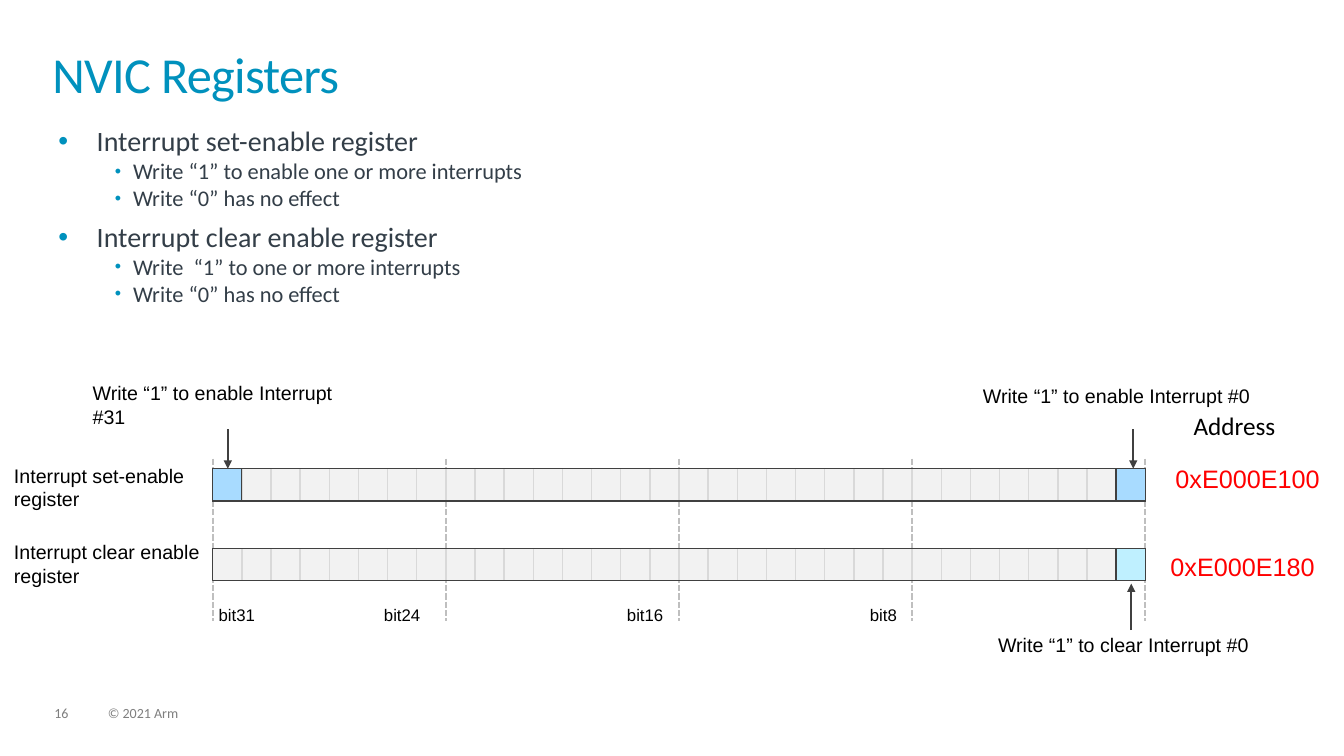
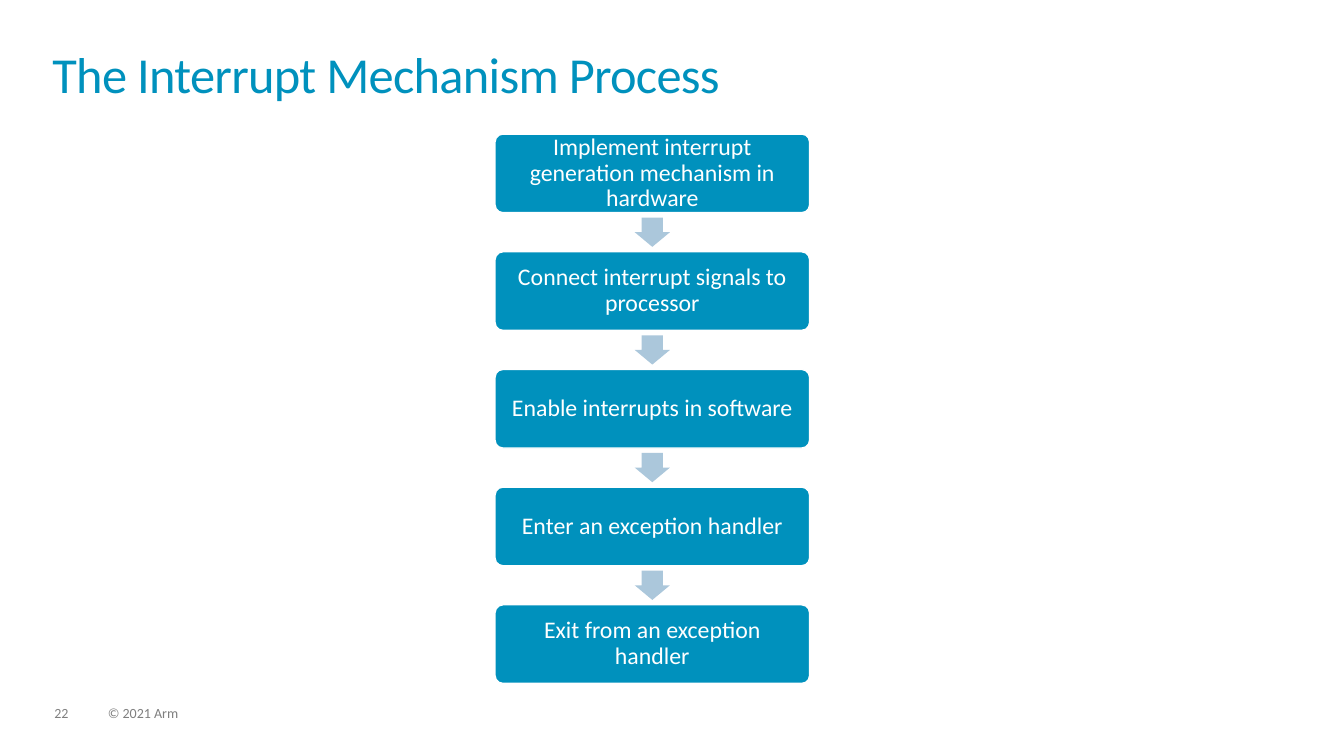
import pptx
import pptx.dml.color
import pptx.enum.dml
import pptx.enum.shapes
import pptx.enum.text
import pptx.oxml.ns
import pptx.util
from lxml import etree

Inches, Pt = pptx.util.Inches, pptx.util.Pt
RGBColor = pptx.dml.color.RGBColor
SHAPE = pptx.enum.shapes.MSO_SHAPE
ANCHOR = pptx.enum.text.MSO_ANCHOR
qn = pptx.oxml.ns.qn

TEAL = RGBColor(0x00, 0x91, 0xBD)
SLATE = RGBColor(0x33, 0x3E, 0x48)
GRAY = RGBColor(0x7F, 0x7F, 0x7F)
DARK = RGBColor(0x40, 0x40, 0x40)
GUIDE = RGBColor(0xBF, 0xBF, 0xBF)
CELL_LINE = RGBColor(0xD9, 0xD9, 0xD9)
CELL = RGBColor(0xF2, 0xF2, 0xF2)
SET_BLUE = RGBColor(0xA8, 0xDB, 0xFF)
CLEAR_BLUE = RGBColor(0xBF, 0xF0, 0xFF)
ARROW_BLUE = RGBColor(0xAB, 0xC7, 0xDB)
RED = RGBColor(0xFF, 0x00, 0x00)
BLACK = RGBColor(0x00, 0x00, 0x00)
WHITE = RGBColor(0xFF, 0xFF, 0xFF)

BITS = 32
CELL_H = 0.32


def style(p, size, color, font="Calibri"):
    """Format every run of a paragraph."""
    for r in p.runs:
        r.font.name = font
        r.font.size = Pt(size)
        r.font.color.rgb = color


def set_frame(tf, inset_x, inset_y, anchor=ANCHOR.TOP):
    """Set wrapping, insets and anchor of a text frame."""
    tf.word_wrap = True
    tf.auto_size = pptx.enum.text.MSO_AUTO_SIZE.NONE
    tf.margin_left = tf.margin_right = Inches(inset_x)
    tf.margin_top = tf.margin_bottom = Inches(inset_y)
    tf.vertical_anchor = anchor


def add_label(s, text, x, y, w, h, size=14, color=BLACK, font="Arial", inset=(0.1, 0.05)):
    """Add a one-paragraph text box and return its paragraph."""
    tf = s.shapes.add_textbox(Inches(x), Inches(y), Inches(w), Inches(h)).text_frame
    set_frame(tf, *inset)
    p = tf.paragraphs[0]
    p.text = text
    style(p, size, color, font)
    return p


def add_box(s, shape, x, y, w, h, fill=None, line=None):
    """Add a flat preset shape with optional fill and outline."""
    sp = s.shapes.add_shape(shape, Inches(x), Inches(y), Inches(w), Inches(h))
    sp.shadow.inherit = False
    if fill is None:
        sp.fill.background()
    else:
        sp.fill.solid()
        sp.fill.fore_color.rgb = fill
    if line is None:
        sp.line.fill.background()
    else:
        sp.line.color.rgb = line
        sp.line.width = Pt(1)
    return sp


def add_vertical(s, x, y1, y2, color, dashed=False, arrow=False):
    """Add a vertical line, dashed or with an arrowhead at its end."""
    c = s.shapes.add_connector(pptx.enum.shapes.MSO_CONNECTOR.STRAIGHT,
                               Inches(x), Inches(y1), Inches(x), Inches(y2))
    c.line.color.rgb = color
    c.line.width = Pt(1.5)
    if dashed:
        c.line.dash_style = pptx.enum.dml.MSO_LINE.SQUARE_DOT
    spPr = c._element.spPr
    if arrow:
        etree.SubElement(spPr.find(qn("a:ln")), qn("a:tailEnd"), type="triangle")
    etree.SubElement(spPr, qn("a:effectLst"))


def add_page(prs, title, number):
    """Add a slide with its title and footer."""
    s = prs.slides.add_slide(prs.slide_layouts[5])
    sp = s.shapes.title
    sp.left, sp.top, sp.width, sp.height = (Inches(v) for v in (0.52, 0.52, 12.28, 0.72))
    set_frame(sp.text_frame, 0, 0)
    p = sp.text_frame.paragraphs[0]
    p.text = title
    p.alignment = pptx.enum.text.PP_ALIGN.LEFT
    p.line_spacing = 0.85
    style(p, 36, TEAL)
    p.runs[0]._r.get_or_add_rPr().set("spc", "-50")
    for text, x, w in ((str(number), 0.54, 0.34), ("© 2021 Arm", 1.07, 5.07)):
        add_label(s, text, x, 7.01, w, 0.15, 10, GRAY, "Calibri", (0, 0)).line_spacing = 0.9
    return s


def add_bullet(p, margin, indent, percent):
    """Give a paragraph a hanging teal bullet."""
    pPr = p._p.get_or_add_pPr()
    pPr.set("marL", str(Inches(margin)))
    pPr.set("indent", str(Inches(-indent)))
    color = etree.SubElement(pPr, qn("a:buClr"))
    etree.SubElement(color, qn("a:srgbClr"), val=str(TEAL))
    etree.SubElement(pPr, qn("a:buSzPct"), val=str(percent * 1000))
    etree.SubElement(pPr, qn("a:buFont"), typeface="Arial")
    etree.SubElement(pPr, qn("a:buChar"), char="•")


def add_bullets(s, items, x, y, w, h):
    """Add a two-level bulleted list."""
    tf = s.shapes.add_textbox(Inches(x), Inches(y), Inches(w), Inches(h)).text_frame
    set_frame(tf, 0, 0)
    for i, (level, text) in enumerate(items):
        p = tf.add_paragraph() if i else tf.paragraphs[0]
        p.text = text
        p.level = level
        add_bullet(p, *((0.74, 0.18, 80) if level else (0.38, 0.38, 100)))
        if i and not level:
            p.space_before = Pt(6)
        style(p, 16 if level else 20, SLATE)


def add_register(s, x, y, w, marked, mark_fill):
    """Draw a register row of bit cells, with marked cells on top."""
    cell_w = w / BITS
    plain = [i for i in range(BITS) if i not in marked]
    for i in plain:
        add_box(s, SHAPE.RECTANGLE, x + i * cell_w, y, cell_w, CELL_H, CELL, CELL_LINE)
    for i in marked:
        add_box(s, SHAPE.RECTANGLE, x + i * cell_w, y, cell_w, CELL_H, mark_fill, DARK)
    add_box(s, SHAPE.RECTANGLE, x, y, w, CELL_H, line=DARK)


def add_register_map(s, x, y, w):
    """Draw both registers with guides, bit numbers, notes and addresses."""
    right = x + w
    row2 = y + 0.79
    for i in range(5):
        add_vertical(s, x + i * w / 4, y - 0.1, y + 1.51, GUIDE, dashed=True)
    add_register(s, x, y, w, (0, BITS - 1), SET_BLUE)
    add_register(s, x, row2, w, (BITS - 1,), CLEAR_BLUE)

    add_label(s, "Interrupt set-enable register", x - 2.07, y - 0.1, 2.19, 0.57)
    add_label(s, "Interrupt clear enable register", x - 2.07, row2 - 0.13, 2.19, 0.57)
    for text, dx in (("bit31", -0.04), ("bit24", 1.6), ("bit16", 4.01), ("bit8", 6.42)):
        add_label(s, text, x + dx, y + 1.3, 0.76, 0.3, 12)

    add_label(s, "Write “1” to enable Interrupt #31", x - 1.29, y - 0.92, 2.85, 0.57)
    add_label(s, "Write “1” to enable Interrupt #0", right - 1.71, y - 0.89, 2.95, 0.34)
    add_label(s, "Write “1” to clear Interrupt #0", right - 1.56, y + 1.58, 2.85, 0.34)
    for ax, start, end in ((x + 0.15, y - 0.39, y), (right - 0.12, y - 0.39, y),
                           (right - 0.14, y + 1.6, y + 1.14)):
        add_vertical(s, ax, start, end, DARK, arrow=True)

    add_label(s, "Address", right + 0.38, y - 0.63, 1.2, 0.4, 18, font="Calibri")
    add_label(s, "0xE000E100", right + 0.2, y - 0.1, 1.75, 0.4, 18, RED)
    add_label(s, "0xE000E180", right + 0.15, row2 - 0.02, 1.75, 0.4, 18, RED)


def add_flow(s, steps, x, y, w, h):
    """Stack rounded steps evenly in a box, joined by down arrows."""
    step_h, arrow_w, arrow_h = 0.78, 0.35, 0.29
    gap = (h - len(steps) * step_h) / (len(steps) - 1)
    for i, text in enumerate(steps):
        top = y + i * (step_h + gap)
        sp = add_box(s, SHAPE.ROUNDED_RECTANGLE, x, top, w, step_h, TEAL, WHITE)
        sp.adjustments[0] = 0.1
        set_frame(sp.text_frame, 0.07, 0, ANCHOR.MIDDLE)
        p = sp.text_frame.paragraphs[0]
        p.text = text
        p.alignment = pptx.enum.text.PP_ALIGN.CENTER
        p.line_spacing = 0.9
        style(p, 17, WHITE)
        if i:
            arrow = add_box(s, SHAPE.DOWN_ARROW, x + (w - arrow_w) / 2,
                            top - (gap + arrow_h) / 2, arrow_w, arrow_h, ARROW_BLUE)
            arrow.adjustments[0] = 0.6
            arrow.adjustments[1] = 0.5


def build_registers(prs):
    """Build the register slide."""
    s = add_page(prs, "NVIC Registers", 16)
    add_bullets(s, [
        (0, "Interrupt set-enable register"),
        (1, "Write “1” to enable one or more interrupts"),
        (1, "Write “0” has no effect"),
        (0, "Interrupt clear enable register"),
        (1, "Write  “1” to one or more interrupts"),
        (1, "Write “0” has no effect"),
    ], 0.58, 1.23, 12.23, 2.2)
    add_register_map(s, 2.11, 4.65, 9.25)


def build_process(prs):
    """Build the process slide."""
    s = add_page(prs, "The Interrupt Mechanism Process", 22)
    add_flow(s, [
        "Implement interrupt generation mechanism in hardware",
        "Connect interrupt signals to processor",
        "Enable interrupts in software",
        "Enter an exception handler",
        "Exit from an exception handler",
    ], 4.91, 1.33, 3.12, 5.45)


def main():
    """Build and save the presentation."""
    prs = pptx.Presentation()
    prs.slide_width, prs.slide_height = Inches(13.33), Inches(7.5)
    build_registers(prs)
    build_process(prs)
    prs.save("out.pptx")


if __name__ == "__main__":
    main()
